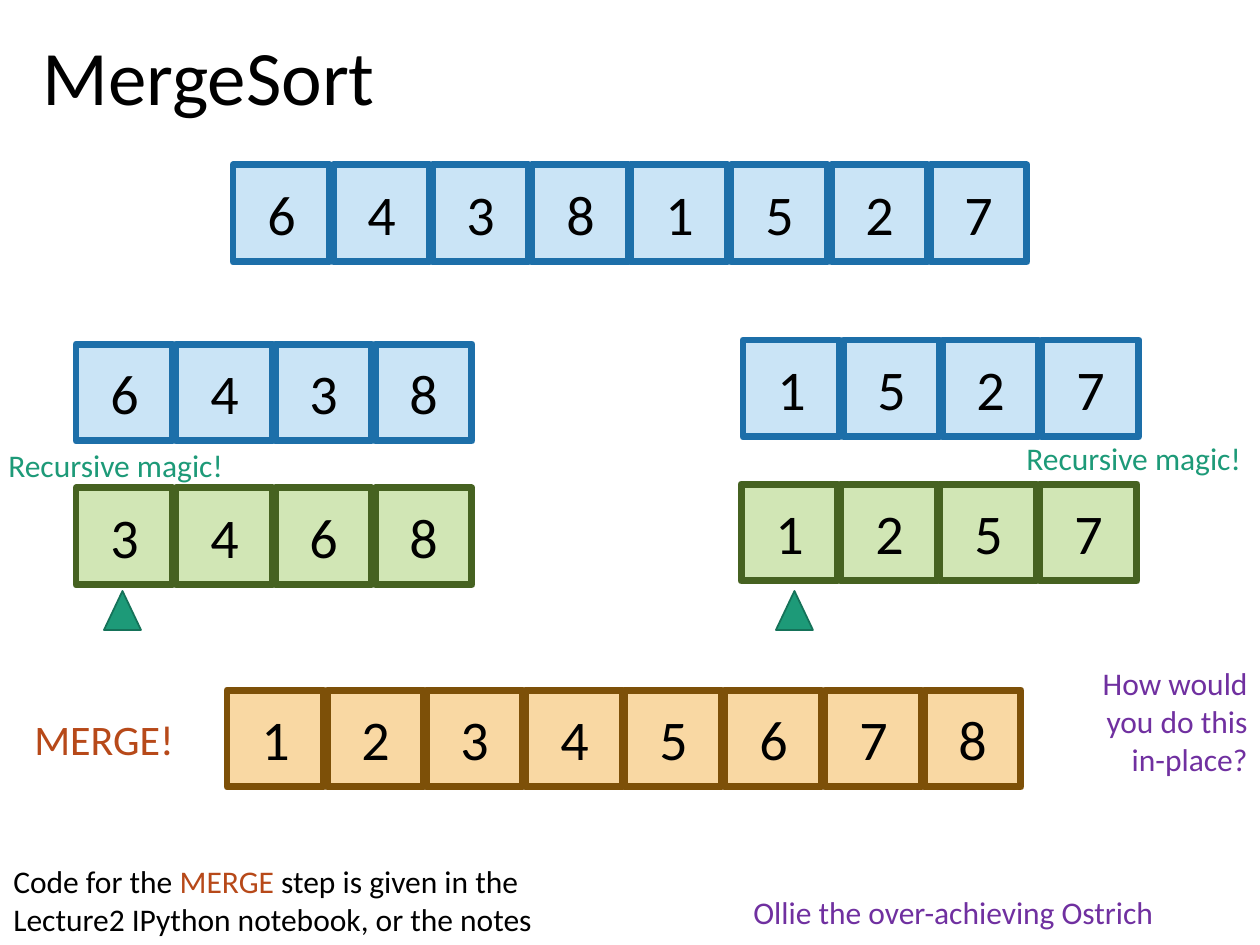
from dataclasses import dataclass

import pptx
import pptx.dml.color
import pptx.enum.shapes
import pptx.enum.text
import pptx.util

PX = 914400 / 126
CELL = 97
PITCH = 99.6

SHAPES = pptx.enum.shapes.MSO_SHAPE
ALIGN = pptx.enum.text.PP_ALIGN
ANCHOR = pptx.enum.text.MSO_ANCHOR


def px(length):
    return pptx.util.Emu(round(length * PX))


def rgb(code):
    return pptx.dml.color.RGBColor.from_string(code)


def set_all(target, formats):
    for name, value in formats.items():
        setattr(target, name, value)


@dataclass(frozen=True)
class Theme:
    font: str = "Calibri"
    title_size: int = 44
    number_size: int = 32
    merge_size: int = 24
    note_size: int = 18
    ink: str = "000000"
    magic: str = "1D9A78"
    merge: str = "B74919"
    question: str = "7030A0"
    # Each pair is fill, outline.
    unsorted: tuple = ("CAE4F6", "1D6FA9")
    half_sorted: tuple = ("D1E6B5", "466221")
    merged: tuple = ("F9D8A3", "7D5008")
    pointer: tuple = ("1D9A78", "157259")


class SlideBuilder:
    def __init__(self, slide, theme):
        self.slide = slide
        self.theme = theme

    def add_runs(self, frame, runs, size, **paragraph_formats):
        """Fill the first paragraph with (text, colour) runs."""
        paragraph = frame.paragraphs[0]
        set_all(paragraph, paragraph_formats)
        for text, color in runs:
            run = paragraph.add_run()
            run.text = text
            set_all(run.font, {"name": self.theme.font, "size": pptx.util.Pt(size)})
            run.font.color.rgb = rgb(color)

    def text(self, box, runs, size, wrap=True, anchor=ANCHOR.TOP, **paragraph_formats):
        frame = self.slide.shapes.add_textbox(*map(px, box)).text_frame
        set_all(frame, {"word_wrap": wrap, "vertical_anchor": anchor})
        self.add_runs(frame, runs, size, **paragraph_formats)

    def shape(self, kind, box, colors, line_width):
        shape = self.slide.shapes.add_shape(kind, *map(px, box))
        fill, outline = colors
        shape.shadow.inherit = False
        shape.fill.solid()
        shape.fill.fore_color.rgb = rgb(fill)
        shape.line.color.rgb = rgb(outline)
        shape.line.width = pptx.util.Pt(line_width)
        return shape

    def array(self, left, top, numbers, colors):
        """Draw one row of numbered cells, a digit in each."""
        for index, number in enumerate(numbers):
            box = (left + round(index * PITCH), top, CELL, CELL)
            frame = self.shape(SHAPES.RECTANGLE, box, colors, 4).text_frame
            frame.vertical_anchor = ANCHOR.MIDDLE
            self.add_runs(frame, [(number, self.theme.ink)], self.theme.number_size,
                          alignment=ALIGN.CENTER)

    def pointer(self, left, top):
        self.shape(SHAPES.ISOSCELES_TRIANGLE, (left, top, 37, 39), self.theme.pointer, 1)


def main():
    deck = pptx.Presentation()
    set_all(deck, {"slide_width": px(1260), "slide_height": px(945)})
    theme = Theme()
    builder = SlideBuilder(deck.slides.add_slide(deck.slide_layouts[6]), theme)

    builder.text((30, 30, 1086, 101), [("MergeSort", theme.ink)], theme.title_size,
                 anchor=ANCHOR.MIDDLE, line_spacing=0.9)

    for left, top, numbers, colors in (
        (233, 165, "64381527", theme.unsorted),
        (76, 344, "6438", theme.unsorted),
        (743, 340, "1527", theme.unsorted),
        (76, 488, "3468", theme.half_sorted),
        (741, 484, "1257", theme.half_sorted),
        (227, 690, "12345678", theme.merged),
    ):
        builder.array(left, top, numbers, colors)

    for left in (104, 776):
        builder.pointer(left, 591)

    for left, top in ((1014, 433), (-4, 440)):
        builder.text((left, top, 242, 50), [("Recursive magic!", theme.magic)],
                     theme.note_size, wrap=False)

    builder.text((1, 856, 628, 89), [
        ("Code for the ", theme.ink),
        ("MERGE", theme.merge),
        (" step is given in the Lecture2 IPython notebook, or the notes", theme.ink),
    ], theme.note_size)
    builder.text((22, 707, 191, 63), [("MERGE!", theme.merge)], theme.merge_size)
    builder.text((1072, 658, 188, 127), [("How would you do this in-place?", theme.question)],
                 theme.note_size, alignment=ALIGN.RIGHT)
    builder.text((741, 887, 478, 50), [("Ollie the over-achieving Ostrich", theme.question)],
                 theme.note_size)

    deck.save("out.pptx")


if __name__ == "__main__":
    main()
